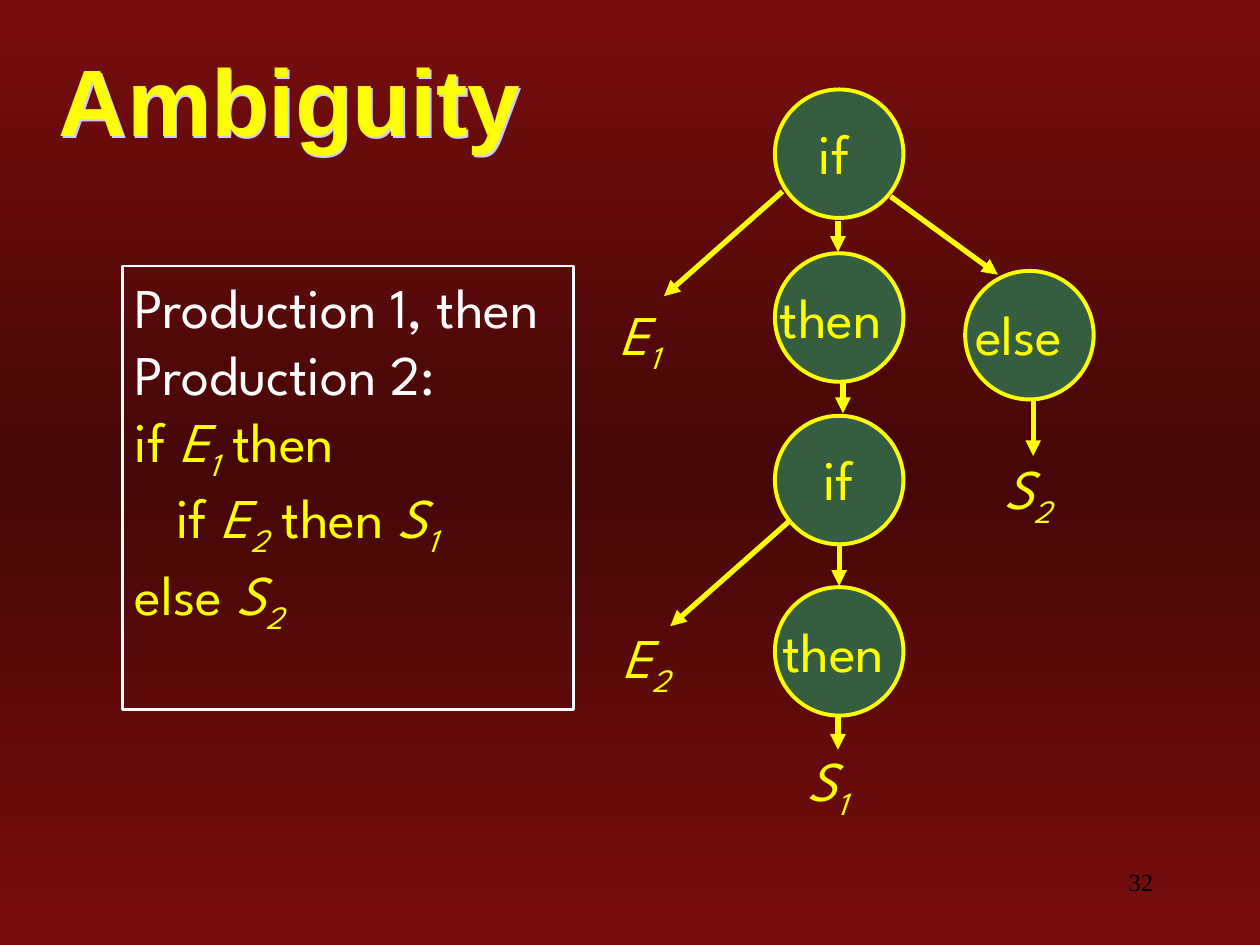
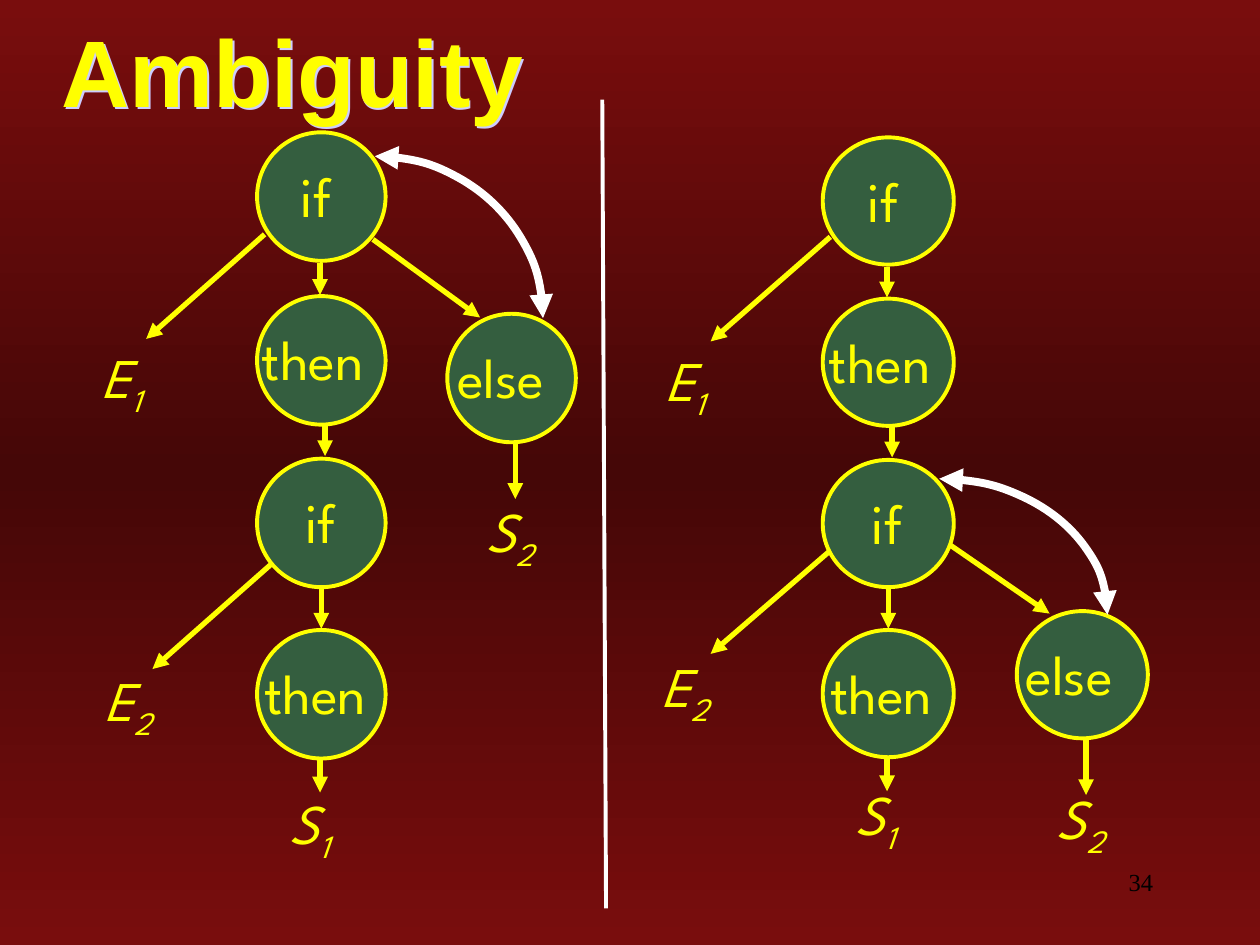
from copy import deepcopy
from dataclasses import dataclass
from typing import NamedTuple

from lxml.etree import SubElement
from pptx import Presentation
from pptx.dml.color import RGBColor
from pptx.enum.shapes import MSO_CONNECTOR, MSO_SHAPE
from pptx.enum.text import MSO_ANCHOR, PP_ALIGN
from pptx.oxml.ns import qn
from pptx.util import Pt

PX = 9144  # EMU in one px, 100 px to the inch


@dataclass(frozen=True)
class Theme:
    edge: RGBColor = RGBColor(0x79, 0x0D, 0x0D)
    core: RGBColor = RGBColor(0x45, 0x07, 0x07)
    gold: RGBColor = RGBColor(0xFF, 0xFF, 0x00)
    white: RGBColor = RGBColor(0xFF, 0xFF, 0xFF)
    black: RGBColor = RGBColor(0x00, 0x00, 0x00)
    green: RGBColor = RGBColor(0x34, 0x5E, 0x3F)
    glow: str = "CCCCFF"
    head: str = "Arial"
    body: str = "League Spartan"
    foot: str = "Times New Roman"
    big: int = 54
    mid: int = 32
    small: int = 14


LOOK = Theme()


class Bit(NamedTuple):
    text: str
    tilt: bool = False
    sub: bool = False
    ink: RGBColor = LOOK.gold


class Box(NamedTuple):
    x: int
    y: int
    w: int
    h: int

    def emu(self) -> list[int]:
        return [v * PX for v in self]


class Node(NamedTuple):
    """A circle; its word sits in a box moved by dx."""
    word: str
    x: int
    y: int
    dx: int
    wide: int = 124
    align: PP_ALIGN = PP_ALIGN.LEFT


class Leaf(NamedTuple):
    name: str
    x: int
    y: int


class Line(NamedTuple):
    x1: int
    y1: int
    x2: int
    y2: int


@dataclass(frozen=True)
class Tree:
    wide: int
    high: int
    nodes: list[Node]
    leaves: list[Leaf]
    arrows: list[Line]


MID = PP_ALIGN.CENTER
# "else" belongs to the outer "if"
OUTER = Tree(
    102, 102,
    [Node("if", 615, 71, -4, 102, MID), Node("then", 615, 201, -6),
     Node("if", 615, 330, 4, 93, MID), Node("then", 615, 466, -4),
     Node("else", 766, 215, -2)],
    [Leaf("E1", 482, 233), Leaf("E2", 484, 489),
     Leaf("S1", 631, 587), Leaf("S2", 787, 355)],
    [Line(665, 175, 665, 200), Line(669, 301, 669, 328),
     Line(666, 430, 666, 465), Line(665, 569, 665, 595),
     Line(621, 152, 527, 235), Line(626, 414, 532, 497),
     Line(707, 156, 792, 218), Line(820, 317, 820, 362)])
# "else" belongs to the inner "if"
INNER = Tree(
    104, 101,
    [Node("if", 653, 109, -4, 104, MID), Node("then", 653, 237, -5),
     Node("if", 653, 365, 4, 94, MID), Node("then", 653, 500, -4),
     Node("else", 807, 485, -3)],
    [Leaf("E1", 518, 269), Leaf("E2", 515, 512),
     Leaf("S1", 669, 614), Leaf("S2", 829, 617)],
    [Line(704, 212, 704, 236), Line(708, 337, 708, 363),
     Line(705, 464, 705, 499), Line(704, 602, 704, 628),
     Line(659, 188, 564, 271), Line(659, 437, 564, 519),
     Line(746, 427, 833, 487), Line(862, 586, 862, 631)])


def var(name: str) -> list[Bit]:
    """An italic letter with its index lowered."""
    return [Bit(name[0], True), Bit(name[1:], True, True)]


def put(page, box: Box, lines: list[list[Bit]], *, size: int = LOOK.mid,
        face: str = LOOK.body, bold: bool = False,
        align: PP_ALIGN = PP_ALIGN.LEFT, anchor: MSO_ANCHOR = MSO_ANCHOR.TOP):
    shape = page.shapes.add_textbox(*box.emu())
    frame = shape.text_frame
    frame.word_wrap = True
    frame.vertical_anchor = anchor
    for i, line in enumerate(lines):
        para = frame.add_paragraph() if i else frame.paragraphs[0]
        para.alignment = align
        for bit in line:
            run = para.add_run()
            run.text = bit.text
            font = run.font
            font.size, font.name, font.bold = Pt(size), face, bold
            font.italic = bit.tilt
            font.color.rgb = bit.ink
            if bit.sub:
                run._r.get_or_add_rPr().set("baseline", "-25000")
    return shape


def stroke(shape, ink: RGBColor, width: float, *ends: str) -> None:
    """Set the outline, with arrowheads at the given ends."""
    shape.line.color.rgb = ink
    shape.line.width = Pt(width)
    for end in ends:
        SubElement(shape.line._get_or_add_ln(), qn(f"a:{end}"), type="triangle")


def join(page, line: Line, ink: RGBColor, width: float, *ends: str) -> None:
    link = page.shapes.add_connector(
        MSO_CONNECTOR.STRAIGHT, *[v * PX for v in line])
    stroke(link, ink, width, *ends)
    SubElement(link._element.spPr, qn("a:effectLst"))


def arc(page, box: Box) -> None:
    curve = page.shapes.add_shape(MSO_SHAPE.ARC, *box.emu())
    curve.shadow.inherit = False
    curve.fill.background()
    # the outline must precede the effect list, so it is set through line
    stroke(curve, LOOK.white, 4.5, "headEnd", "tailEnd")


def draw(page, tree: Tree, dx: int = 0, dy: int = 0) -> None:
    for a in tree.arrows:
        moved = Line(a.x1 + dx, a.y1 + dy, a.x2 + dx, a.y2 + dy)
        join(page, moved, LOOK.gold, 3, "tailEnd")
    for node in tree.nodes:
        x, y = node.x + dx, node.y + dy
        ball = page.shapes.add_shape(
            MSO_SHAPE.OVAL, *Box(x, y, tree.wide, tree.high).emu())
        ball.shadow.inherit = False
        ball.fill.solid()
        ball.fill.fore_color.rgb = LOOK.green
        stroke(ball, LOOK.gold, 2.25)
        put(page, Box(x + node.dx, y + 18, node.wide, 64),
            [[Bit(node.word)]], align=node.align)
    for leaf in tree.leaves:
        put(page, Box(leaf.x + dx, leaf.y + dy, 92, 71), [var(leaf.name)])


def shade(page) -> None:
    """Fill the background from edge to core and back."""
    fill = page.background.fill
    fill.gradient()
    fill.gradient_angle = 90
    first = fill.gradient_stops[0]._gs
    first.addnext(deepcopy(first))
    inks = (LOOK.edge, LOOK.core, LOOK.edge)
    for i, (stop, ink) in enumerate(zip(fill.gradient_stops, inks)):
        stop.position = i / 2
        stop.color.rgb = ink


def start(deck, number: int, x: int, y: int):
    """Add a slide with background, title at x, y and slide number."""
    page = deck.slides.add_slide(deck.slide_layouts[6])
    shade(page)
    title = put(page, Box(x, y, 963, 83), [[Bit("Ambiguity")]],
                size=LOOK.big, face=LOOK.head, bold=True,
                anchor=MSO_ANCHOR.MIDDLE)
    glow = SubElement(title._element.spPr, qn("a:effectLst"))
    cast = SubElement(glow, qn("a:outerShdw"), dist="17961", dir="2700000")
    SubElement(cast, qn("a:srgbClr"), val=LOOK.glow)
    put(page, Box(717, 683, 208, 50), [[Bit(str(number), ink=LOOK.black)]],
        size=LOOK.small, face=LOOK.foot, align=PP_ALIGN.RIGHT)
    return page


def parse_one(deck) -> None:
    page = start(deck, 32, 37, 37)
    steps = put(page, Box(97, 211, 358, 352), [
        [Bit("Production 1, then", ink=LOOK.white)],
        [Bit("Production 2:", ink=LOOK.white)],
        [Bit("if "), *var("E1"), Bit(" then")],
        [Bit("   if "), *var("E2"), Bit(" then "), *var("S1")],
        [Bit("else "), *var("S2")]])
    stroke(steps, LOOK.white, 1.5)
    draw(page, OUTER)


def parse_both(deck) -> None:
    page = start(deck, 34, 39, 14)
    draw(page, OUTER, -411, 34)
    draw(page, INNER)
    join(page, Line(478, 79, 481, 721), LOOK.white, 2.25)
    arc(page, Box(164, 124, 267, 257))
    arc(page, Box(612, 380, 267, 216))


def main() -> None:
    deck = Presentation()
    deck.slide_width, deck.slide_height = 1000 * PX, 750 * PX
    parse_one(deck)
    parse_both(deck)
    deck.save("out.pptx")


if __name__ == "__main__":
    main()
